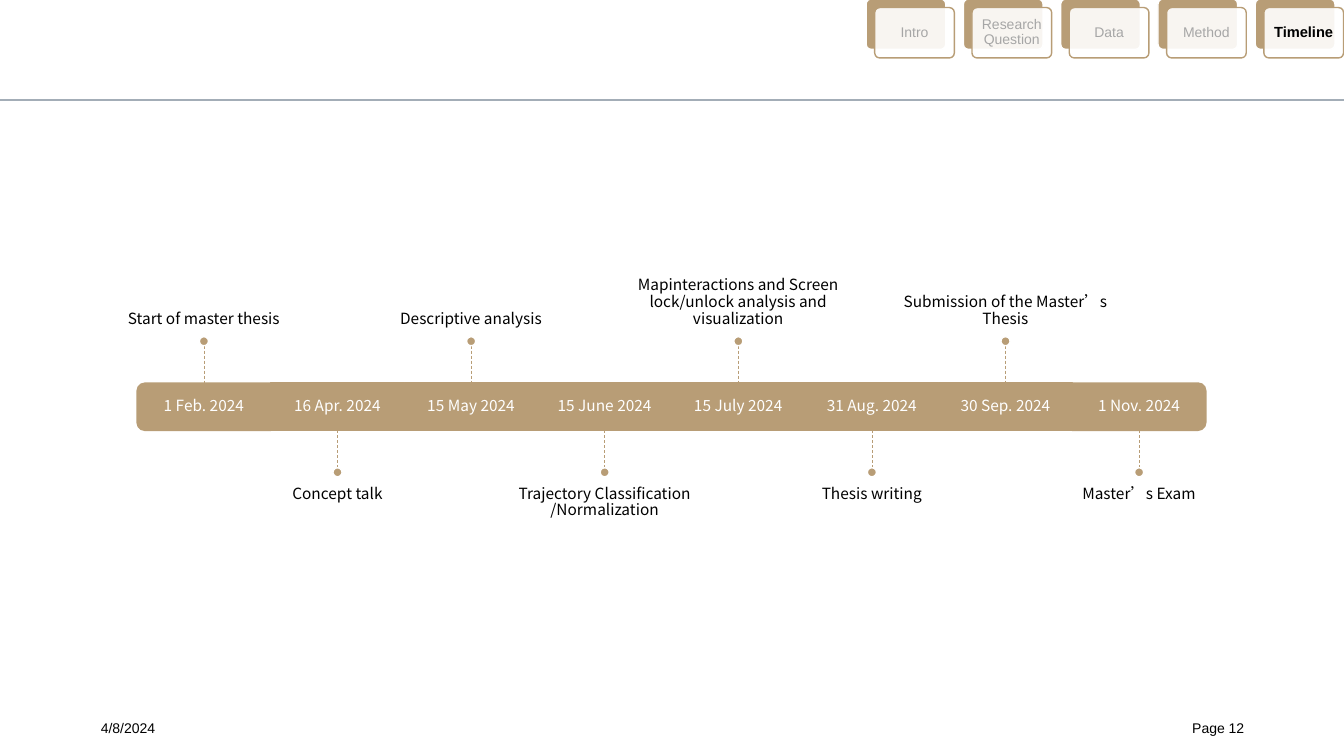
from lxml import etree
from pptx import Presentation
from pptx.dml.color import RGBColor
from pptx.enum.dml import MSO_LINE
from pptx.enum.shapes import MSO_CONNECTOR, MSO_SHAPE as Shape
from pptx.enum.text import MSO_ANCHOR as Anchor, PP_ALIGN as Align
from pptx.oxml.ns import qn
from pptx.util import Inches, Pt

TAN, WHITE, BLACK, GRAY, RULE = "B89D76", "FFFFFF", "000000", "A6A6A6", "A3ADB7"
SANS, CJK = "Arial", "Noto Sans CJK SC"

SECTIONS = ["Intro", "Research Question", "Data", "Method", "Timeline"]
CURRENT = "Timeline"
MILESTONES = [
    ("1 Feb. 2024", "Start of master thesis"),
    ("16 Apr. 2024", "Concept talk"),
    ("15 May 2024", "Descriptive analysis"),
    ("15 June 2024", "Trajectory Classification /Normalization"),
    ("15 July 2024", "Mapinteractions and Screen lock/unlock analysis and visualization"),
    ("31 Aug. 2024", "Thesis writing"),
    ("30 Sep. 2024", "Submission of the Master’s Thesis"),
    ("1 Nov. 2024", "Master’s Exam"),
]

BAR_LEFT, BAR_TOP, CELL_WIDTH, BAR_HEIGHT = 1.36, 3.8, 1.325, 0.47
LABEL_WIDTH, LABEL_HEIGHT = 2.21, 1.63
STEM, DOT, PAD = 0.37, 0.09, 0.09
TAB_LEFT, TAB_TOP, TAB_PITCH = 8.59, -0.01, 0.965
TAB_WIDTH, TAB_HEIGHT, TAB_OFFSET = 0.79, 0.5, 0.085


def color(hex_string):
    return RGBColor.from_string(hex_string)


def add_box(slide, kind, left, top, width, height, line, fill=TAN, opacity=None):
    shape = slide.shapes.add_shape(
        kind, Inches(left), Inches(top), Inches(width), Inches(height))
    shape.shadow.inherit = False
    shape.fill.solid()
    shape.fill.fore_color.rgb = color(fill)
    shape.line.color.rgb = color(line)
    shape.line.width = Pt(1)
    if opacity is not None:
        fill_color = shape.fill._xPr.find(qn("a:solidFill"))[0]
        etree.SubElement(fill_color, qn("a:alpha"), val=str(opacity * 1000))
    return shape


def add_line(slide, x1, y1, x2, y2, line, width):
    connector = slide.shapes.add_connector(
        MSO_CONNECTOR.STRAIGHT, Inches(x1), Inches(y1), Inches(x2), Inches(y2))
    connector.line.color.rgb = color(line)
    connector.line.width = Pt(width)
    etree.SubElement(connector._element.spPr, qn("a:effectLst"))
    return connector


def add_text(slide, text, left, top, width, height, font, size, ink=BLACK, bold=False,
             align=Align.CENTER, anchor=Anchor.TOP, insets=(0, 0, 0, 0), spacing=0.9):
    """Add one wrapped paragraph; insets run left, top, right, bottom."""
    box = slide.shapes.add_textbox(
        Inches(left), Inches(top), Inches(width), Inches(height))
    frame = box.text_frame
    frame.word_wrap = True
    frame.vertical_anchor = anchor
    (frame.margin_left, frame.margin_top,
     frame.margin_right, frame.margin_bottom) = map(Inches, insets)
    paragraph = frame.paragraphs[0]
    paragraph.text = text
    paragraph.alignment = align
    paragraph.line_spacing = spacing
    paragraph.font.name = font
    paragraph.font.size = Pt(size)
    paragraph.font.bold = bold
    paragraph.font.color.rgb = color(ink)
    # The curly apostrophe takes its glyph from the East Asian font.
    etree.SubElement(paragraph.font._rPr, qn("a:ea"), typeface=font)


def add_bar_cell(slide, index):
    left = BAR_LEFT + index * CELL_WIDTH
    if index not in (0, len(MILESTONES) - 1):
        add_box(slide, Shape.RECTANGLE, left, BAR_TOP, CELL_WIDTH, BAR_HEIGHT, TAN)
        return
    # The end caps are upright shapes turned about the centre of their cell.
    inset = (CELL_WIDTH - BAR_HEIGHT) / 2
    cap = add_box(slide, Shape.ROUND_2_SAME_RECTANGLE, left + inset, BAR_TOP - inset,
                  BAR_HEIGHT, CELL_WIDTH, TAN)
    cap.rotation = 270 if index == 0 else 90


def add_milestone(slide, index, date, label):
    left = BAR_LEFT + index * CELL_WIDTH
    center = left + CELL_WIDTH / 2
    if index % 2 == 0:
        stem_top = BAR_TOP - STEM
        dot_top = stem_top - DOT
        label_top = dot_top - LABEL_HEIGHT
        anchor, insets = Anchor.BOTTOM, (0, 0, 0, PAD)
    else:
        stem_top = BAR_TOP + BAR_HEIGHT
        dot_top = stem_top + STEM
        label_top = dot_top + DOT
        anchor, insets = Anchor.TOP, (0, PAD, 0, 0)
    add_bar_cell(slide, index)
    add_text(slide, date, left, BAR_TOP, CELL_WIDTH, BAR_HEIGHT, CJK, 11, WHITE,
             anchor=Anchor.MIDDLE, insets=(PAD,) * 4)
    add_text(slide, label, center - LABEL_WIDTH / 2, label_top, LABEL_WIDTH, LABEL_HEIGHT,
             CJK, 11, anchor=anchor, insets=insets)
    stem = add_line(slide, center, stem_top, center, stem_top + STEM, TAN, 0.5)
    stem.line.dash_style = MSO_LINE.DASH
    add_box(slide, Shape.OVAL, center - DOT / 2, dot_top, DOT, DOT, WHITE)


def add_section_tab(slide, index, name):
    left = TAB_LEFT + index * TAB_PITCH
    front_left, front_top = left + TAB_OFFSET, TAB_TOP + TAB_OFFSET
    back = add_box(slide, Shape.ROUNDED_RECTANGLE, left, TAB_TOP,
                   TAB_WIDTH, TAB_HEIGHT, WHITE)
    front = add_box(slide, Shape.ROUNDED_RECTANGLE, front_left, front_top,
                    TAB_WIDTH, TAB_HEIGHT, TAN, WHITE, opacity=90)
    for card in (back, front):
        card.adjustments[0] = 0.1
    active = name == CURRENT
    add_text(slide, name, front_left + 0.015, front_top + 0.015, 0.76, 0.47, SANS,
             10.5 if active else 10, BLACK if active else GRAY, active,
             anchor=Anchor.MIDDLE, insets=(0.04,) * 4)


def main():
    presentation = Presentation()
    presentation.slide_width, presentation.slide_height = Inches(13.33), Inches(7.5)
    slide = presentation.slides.add_slide(presentation.slide_layouts[6])
    add_line(slide, 0, 0.99, 13.33, 0.99, RULE, 1.25)
    for index, (date, label) in enumerate(MILESTONES):
        add_milestone(slide, index, date, label)
    for index, name in enumerate(SECTIONS):
        add_section_tab(slide, index, name)
    add_text(slide, "4/8/2024", 1, 7.14, 1.36, 0.24, SANS, 10, align=Align.LEFT, spacing=1.0)
    add_text(slide, "Page 12", 11.43, 7.14, 0.91, 0.24, SANS, 10, align=Align.RIGHT, spacing=1.0)
    presentation.save("out.pptx")


if __name__ == "__main__":
    main()
